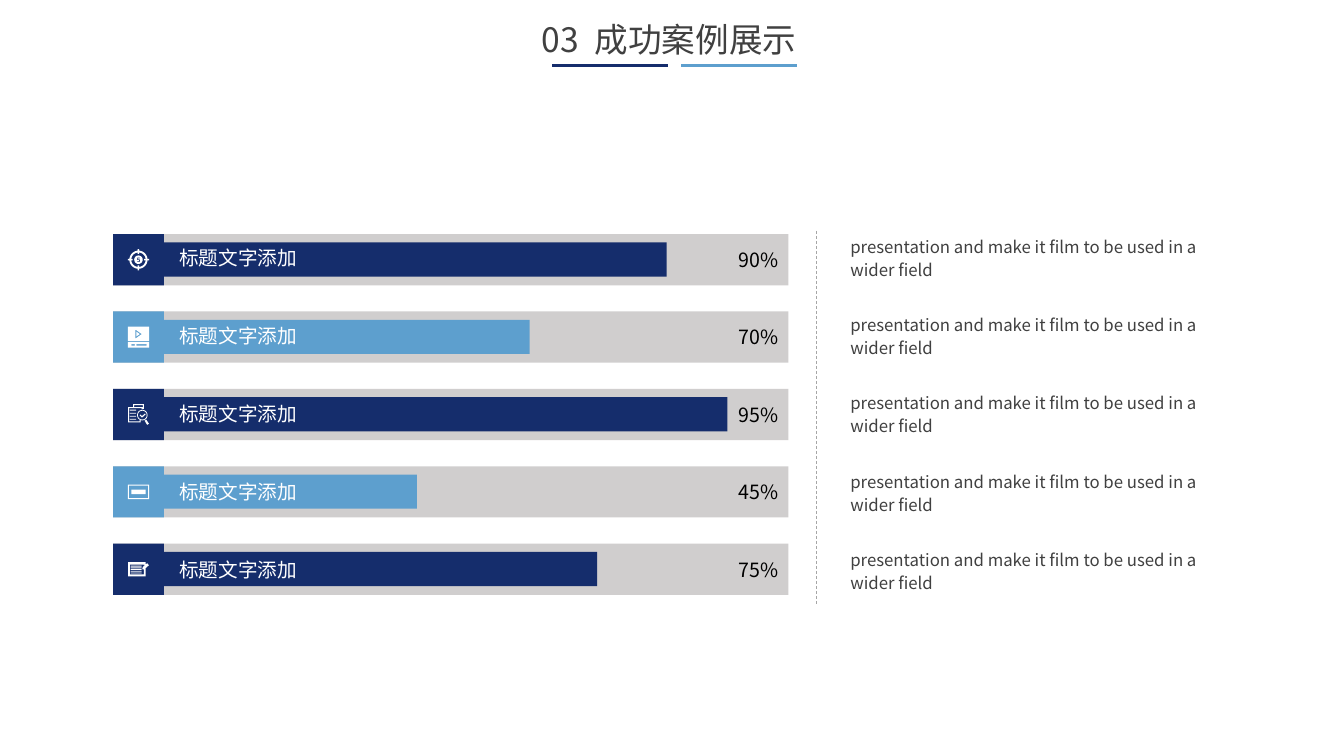
"""Build a slide of five labelled progress bars with notes."""
from math import cos, pi, sin

from lxml.etree import SubElement as Sub
from pptx import Presentation
from pptx.dml.color import RGBColor as Rgb
from pptx.enum.dml import MSO_LINE as Dash
from pptx.enum.shapes import MSO_CONNECTOR as Link, MSO_SHAPE as Kind
from pptx.enum.text import MSO_ANCHOR as Anchor, MSO_AUTO_SIZE as Fit, PP_ALIGN as Align
from pptx.oxml.ns import qn
from pptx.util import Cm, Pt

NAVY, SKY, GREY, WHITE, BLACK, TEXT, RULE = (
    "152D6C", "5D9FCE", "D0CECE", "FFFFFF", "000000", "404040", "A6A6A6")
NOTE = "presentation and make it film to be used in a wider field"


def paint(target, color):
    if hasattr(target, "solid"):
        target.solid()
        target = target.fore_color
    target.rgb = Rgb.from_string(color)


def write(frame, text, size=14, color=BLACK, face="Noto Sans CJK SC",
          align=Align.LEFT, anchor=Anchor.TOP, lead=None, gap=None):
    frame.word_wrap = True
    frame.auto_size = Fit.NONE
    frame.vertical_anchor = anchor
    para = frame.paragraphs[0]
    para.alignment = align
    if lead:
        para.line_spacing = lead
    for part in text.partition(" ") if gap else [text]:
        run = para.add_run()
        run.text = part
        run.font.size = Pt(size)
        run.font.name = face
        paint(run.font.color, color)
        props = run.font._element
        props.find(qn("a:latin")).addnext(Sub(props, qn("a:ea"), typeface=face))
        if part == " ":
            props.set("spc", str(gap * 100))


def box(x, y, w, h):
    return [(x, y), (x + w, y), (x + w, y + h), (x, y + h)]


def ring(x, y, r):
    turns = [2 * pi * i / 40 for i in range(40)]
    return [(x + r * cos(t), y + r * sin(t)) for t in turns]


class Deck:
    def __init__(self, face="Noto Sans CJK SC"):
        self.face = face
        self.show = Presentation()
        self.show.slide_width, self.show.slide_height = Cm(33.87), Cm(19.05)
        self.slide = self.show.slides.add_slide(self.show.slide_layouts[5])
        self.shapes = self.slide.shapes

    def title(self, text, x, y, w, h, **style):
        head = self.shapes.title
        head.left, head.top, head.width, head.height = map(Cm, (x, y, w, h))
        write(head.text_frame, text, face=self.face, **style)

    def label(self, text, x, y, w, h, **style):
        area = self.shapes.add_textbox(*map(Cm, (x, y, w, h)))
        write(area.text_frame, text, face=self.face, **style)

    def fill(self, shape, color):
        shape.shadow.inherit = False
        paint(shape.fill, color)
        shape.line.fill.background()

    def bar(self, x, y, w, h, color, text=None, **style):
        shape = self.shapes.add_shape(Kind.RECTANGLE, *map(Cm, (x, y, w, h)))
        self.fill(shape, color)
        if text:
            write(shape.text_frame, text, face=self.face, **style)

    def icon(self, x, y, loops, color):
        first, *rest = loops
        pen = self.shapes.build_freeform(*first[0], scale=Cm(0.00254))
        pen.add_line_segments(first[1:], close=True)
        for loop in rest:
            pen.move_to(*loop[0])
            pen.add_line_segments(loop[1:], close=True)
        shape = pen.convert_to_shape()
        shape.left = Cm(x) - shape.width // 2
        shape.top = Cm(y) - shape.height // 2
        self.fill(shape, color)

    def line(self, x, y, end, low, color, width, dash=None):
        link = self.shapes.add_connector(Link.STRAIGHT, *map(Cm, (x, y, end, low)))
        paint(link.line.fill, color)
        link.line.width = Pt(width)
        if dash:
            link.line.dash_style = dash
        Sub(link._element.spPr, qn("a:effectLst"))


TARGET = [
    ring(105, 105, 90), ring(105, 105, 72), ring(105, 105, 42),
    box(97, 0, 16, 15), box(97, 33, 16, 15), box(97, 195, 16, 15), box(97, 162, 16, 15),
    box(0, 97, 15, 16), box(33, 97, 15, 16), box(195, 97, 15, 16), box(162, 97, 15, 16),
    [(118, 84), (92, 84), (92, 110), (110, 110), (110, 118), (92, 118),
     (92, 126), (118, 126), (118, 102), (100, 102), (100, 92), (118, 92)],
]
PLAYER = [
    box(0, 0, 210, 145), [(75, 30), (75, 120), (138, 75)], [(85, 52), (85, 98), (118, 75)],
    box(0, 155, 210, 55), box(35, 175, 35, 15), box(85, 175, 100, 15),
]
SEARCH = [
    [(125, 160), (125, 182), (0, 182), (0, 30), (145, 30), (145, 50),
     (135, 50), (135, 40), (10, 40), (10, 172), (115, 172), (115, 160)],
    [(50, 28), (50, 0), (158, 0), (158, 48), (148, 48), (148, 10), (60, 10), (60, 28)],
    ring(142, 110, 52), ring(142, 110, 44),
    [(115, 112), (123, 105), (138, 120), (168, 95), (175, 103), (139, 135)],
    [(165, 165), (182, 156), (207, 195), (190, 207)],
    *[box(20, 57 + 30 * i, 60, 8) for i in range(4)],
]
CARD = [box(0, 0, 210, 145), box(10, 10, 190, 125), box(35, 50, 140, 45)]
FORM = [
    [(0, 0), (175, 0), (175, 18), (158, 32), (158, 25), (18, 25), (18, 122),
     (158, 122), (158, 74), (175, 62), (175, 140), (0, 140)],
    [(145, 50), (190, 10), (207, 30), (162, 70), (142, 72)],
    *[box(25, 35 + 17 * i, 110, 8) for i in range(5)],
]
ROWS = [("90%", 12.67, TARGET), ("70%", 9.22, PLAYER), ("95%", 14.2, SEARCH),
        ("45%", 6.38, CARD), ("75%", 10.92, FORM)]


def main():
    deck = Deck()
    deck.title("03 成功案例展示", 13.39, 0.36, 7.32, 1.27,
               size=24, color=TEXT, align=Align.JUSTIFY, gap=6)
    deck.line(13.92, 1.65, 16.84, 1.65, NAVY, 2)
    deck.line(17.17, 1.65, 20.09, 1.65, SKY, 2)
    deck.line(20.57, 5.82, 20.57, 15.21, RULE, 0.5, Dash.DASH)
    left, high, side = 2.85, 1.29, 1.28
    for i, (share, width, loops) in enumerate(ROWS):
        top = 5.9 + 1.95 * i
        color = SKY if i % 2 else NAVY
        deck.bar(left, top, 17.02, high, GREY, share, align=Align.RIGHT, anchor=Anchor.MIDDLE)
        deck.bar(left, top, side, high, color)
        deck.bar(left + side, top + 0.21, width, 0.86, color)
        deck.icon(left + side / 2, top + high / 2, loops, WHITE)
        deck.label("标题文字添加", 4.27, 6.06 + 1.97 * i, 5.92, 0.86, color=WHITE)
        deck.label(NOTE, 21.18, 5.77 + 1.97 * i, 9.86, 1.42,
                   size=12, color=TEXT, lead=1.14)
    deck.show.save("out.pptx")


if __name__ == "__main__":
    main()
